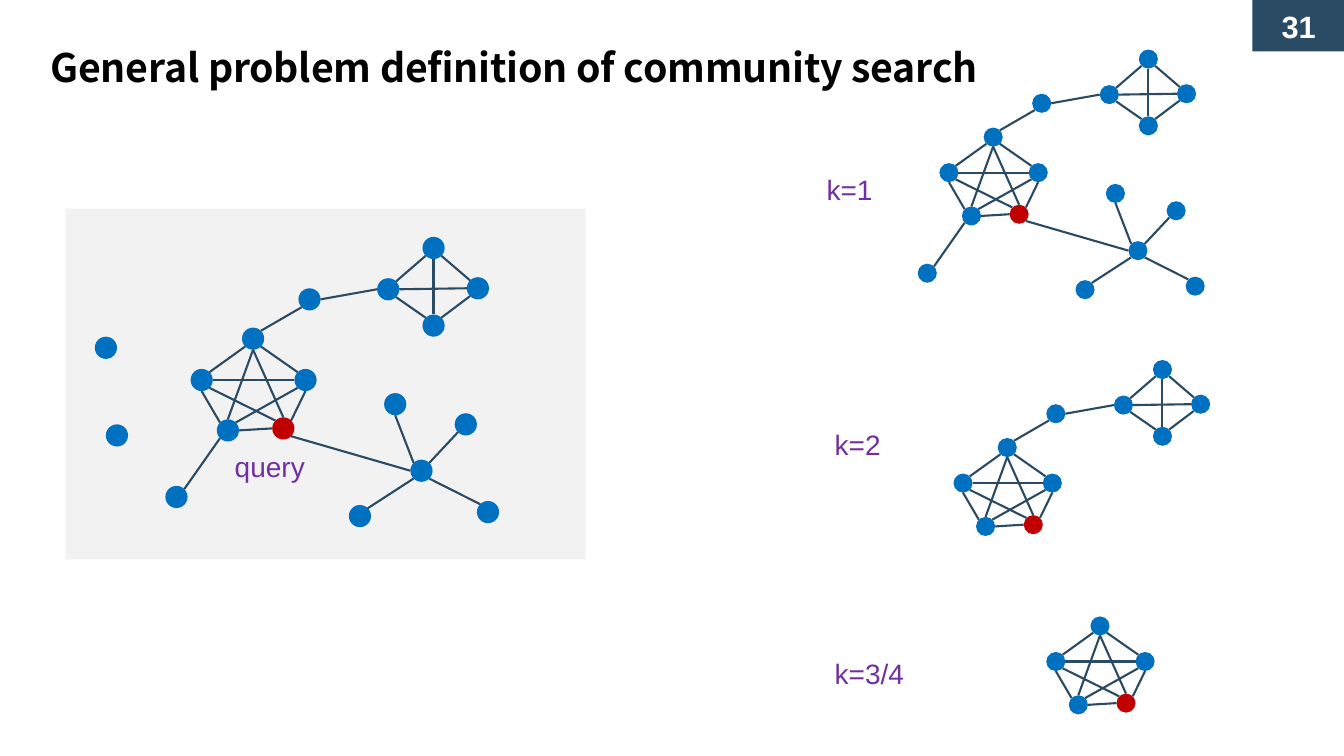
import math
import pptx
import pptx.util
import pptx.dml.color
import pptx.enum.shapes
import pptx.enum.text
import lxml.etree

Inches = pptx.util.Inches
Pt = pptx.util.Pt
Shape = pptx.enum.shapes.MSO_SHAPE
Fit = pptx.enum.text.MSO_AUTO_SIZE

COLORS = {
    "navy": "2B4A63",
    "blue": "0070C0",
    "red": "C00000",
    "purple": "7030A0",
    "grey": "F2F2F2",
    "white": "FFFFFF",
    "black": "000000",
}

CORE = {"top": (0, 0), "left": (-0.51, 0.41), "low": (-0.25, 0.91),
        "query": (0.3, 0.89), "right": (0.52, 0.41)}
KITE = {"link": (0.56, -0.39), "west": (1.34, -0.49), "north": (1.79, -0.9),
        "east": (2.23, -0.5), "south": (1.79, -0.13)}
STAR = {"hub": (1.67, 1.31), "ray1": (1.41, 0.65), "ray2": (2.11, 0.85),
        "ray3": (2.33, 1.72), "ray4": (1.06, 1.76), "leaf": (-0.76, 1.57)}
LONE = {"lone1": (-1.35, 0.96), "lone2": (-1.46, 0.09)}

# Each edge: node, site, node, site; sites run counterclockwise from the top.
EDGES = [
    ("left", 7, "top", 3), ("right", 1, "top", 5), ("low", 0, "top", 4),
    ("query", 0, "top", 4), ("query", 1, "left", 5), ("right", 2, "left", 6),
    ("right", 3, "low", 7), ("right", 4, "query", 7), ("left", 4, "low", 1),
    ("low", 6, "query", 2),
    ("north", 3, "west", 7), ("north", 5, "east", 1), ("north", 4, "south", 0),
    ("south", 1, "west", 5), ("east", 3, "south", 7), ("east", 2, "west", 6),
    ("west", 2, "link", 6), ("link", 3, "top", 7),
    ("hub", 2, "query", 5), ("hub", 1, "ray1", 4), ("hub", 7, "ray2", 3),
    ("hub", 3, "ray4", 7), ("ray3", 1, "hub", 5), ("leaf", 7, "low", 3),
]


class Deck:
    face = "Arial"
    size = 20
    stroke = 1.5
    dot = 0.22

    def __init__(self, slide):
        self.slide = slide

    def color(self, name):
        return pptx.dml.color.RGBColor.from_string(COLORS[name])

    def run(self, para, words, hue, size=None, face=None, bold=False):
        run = para.add_run()
        run.text = words
        run.font.name = face or self.face
        run.font.size = Pt(size or self.size)
        run.font.bold = bold
        run.font.color.rgb = self.color(hue)
        return run

    def shape(self, kind, x, y, w, h, hue, home=None):
        shape = (home or self.slide).shapes.add_shape(
            kind, Inches(x), Inches(y), Inches(w), Inches(h))
        shape.shadow.inherit = False
        shape.fill.solid()
        shape.fill.fore_color.rgb = self.color(hue)
        shape.line.fill.background()
        return shape

    def box(self, x, y, w, h, home=None):
        box = (home or self.slide).shapes.add_textbox(
            Inches(x), Inches(y), Inches(w), Inches(h))
        box.text_frame.word_wrap = True
        box.text_frame.auto_size = Fit.SHAPE_TO_FIT_TEXT
        return box.text_frame

    def label(self, words, x, y, w=0.91, home=None):
        frame = self.box(x, y, w, 0.44, home)
        self.run(frame.paragraphs[0], words, "purple")

    def title(self, words):
        frame = self.box(0.5, 0.42, 10.07, 0.48)
        frame.margin_left = frame.margin_right = frame.margin_bottom = 0
        frame.margin_top = Inches(0.01)
        run = self.run(frame.paragraphs[0], words, "black", 28,
                       "Noto Sans CJK SC", True)
        props = run._r.get_or_add_rPr()
        props.set("spc", "-10")
        for tag in ("ea", "cs"):
            font = lxml.etree.SubElement(props, pptx.oxml.ns.qn("a:" + tag))
            font.set("typeface", "Noto Sans CJK SC")

    def badge(self, words):
        shape = self.shape(Shape.RECTANGLE, 12.42, 0, 0.92, 0.51, "navy")
        frame = shape.text_frame
        frame.vertical_anchor = pptx.enum.text.MSO_ANCHOR.MIDDLE
        para = frame.paragraphs[0]
        para.alignment = pptx.enum.text.PP_ALIGN.CENTER
        self.run(para, words, "white", 22, bold=True)

    def line(self, start, end, home):
        line = home.shapes.add_connector(
            pptx.enum.shapes.MSO_CONNECTOR.STRAIGHT,
            *(Inches(v) for v in start + end))
        line.line.color.rgb = self.color("navy")
        line.line.width = Pt(self.stroke)
        lxml.etree.SubElement(line._element.spPr,
                              pptx.oxml.ns.qn("a:effectLst"))

    def graph(self, parts, x, y, scale):
        group = self.slide.shapes.add_group_shape()
        size = self.dot * scale
        spots = {name: (x + dx * scale, y + dy * scale)
                 for part in parts for name, (dx, dy) in part.items()}

        def site(name, index):
            turn = math.radians(90 + 45 * index)
            cx, cy = spots[name]
            return (cx + size / 2 * math.cos(turn),
                    cy - size / 2 * math.sin(turn))

        for name, (cx, cy) in spots.items():
            hue = "red" if name == "query" else "blue"
            self.shape(Shape.OVAL, cx - size / 2, cy - size / 2,
                       size, size, hue, group)
        for first, out, last, into in EDGES:
            if first in spots and last in spots:
                self.line(site(first, out), site(last, into), group)
        return group


def main():
    show = pptx.Presentation()
    show.slide_width = Inches(13.33)
    show.slide_height = Inches(7.5)
    deck = Deck(show.slides.add_slide(show.slide_layouts[6]))

    deck.badge("31")
    deck.title("General problem definition of community search")

    deck.shape(Shape.RECTANGLE, 0.65, 2.07, 5.16, 3.48, "grey")
    whole = deck.graph((CORE, KITE, STAR, LONE), 2.51, 3.36, 1)
    deck.label("query", 2.23, 4.41, 1.13, whole)

    small = 0.86
    for words, left, top, parts, x, y in (
        ("k=1", 8.1, 1.66, (CORE, KITE, STAR), 9.85, 1.36),
        ("k=2", 8.18, 4.19, (CORE, KITE), 9.99, 4.44),
        ("k=3/4", 8.18, 6.46, (CORE,), 10.91, 6.21),
    ):
        deck.label(words, left, top)
        deck.graph(parts, x, y, small)

    show.save("out.pptx")


if __name__ == "__main__":
    main()
